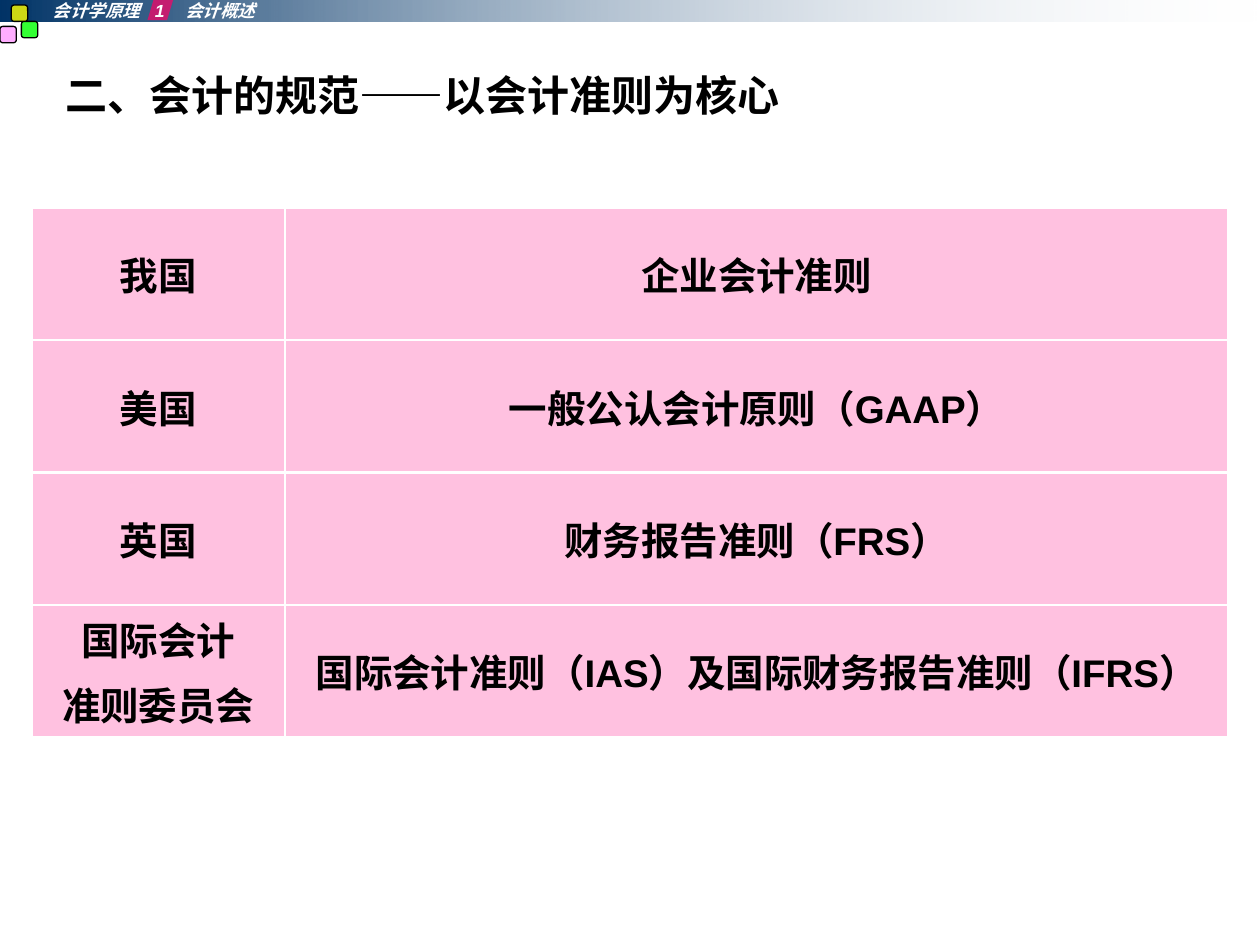
import pptx
import pptx.util
import pptx.dml.color
import pptx.enum.shapes
import pptx.enum.text
import pptx.oxml
import pptx.oxml.ns

Inches = pptx.util.Inches
Pt = pptx.util.Pt
Kind = pptx.enum.shapes.MSO_SHAPE
COLORS = {
    "navy": "003366", "mist": "E7ECF1", "white": "FFFFFF", "black": "000000",
    "pink": "FF99FF", "green": "00FF00", "yellow": "FFFF00", "rose": "FF0066",
    "cell": "FFC1E0",
}
ROWS = [
    ("我国", "企业会计准则"),
    ("美国", "一般公认会计原则（GAAP）"),
    ("英国", "财务报告准则（FRS）"),
    ("国际会计\n准则委员会", "国际会计准则（IAS）及国际财务报告准则（IFRS）"),
]


def rgb(name):
    return pptx.dml.color.RGBColor.from_string(COLORS[name])


def node(tag, inner="", **attrs):
    text = "".join(f' {key}="{val}"' for key, val in attrs.items())
    space = pptx.oxml.ns.nsdecls("a")
    return pptx.oxml.parse_xml(f"<a:{tag} {space}{text}>{inner}</a:{tag}>")


class Maker:
    """Holds the style and the current slide, and draws each kind of element."""

    def __init__(self, slide, face="Arial"):
        self.slide = slide
        self.face = face

    def style(self, para, size, color, slant=None):
        font = para.font
        font.name, font.size, font.bold = self.face, Pt(size), True
        font.italic = slant
        font.color.rgb = rgb(color)

    def fade(self, shape, share):
        tint = list(shape.element.iter(pptx.oxml.ns.qn("a:srgbClr")))[-1]
        tint.append(node("alpha", val=share * 1000))

    def shape(self, kind, box):
        shape = self.slide.shapes.add_shape(kind, *map(Inches, box))
        shape.shadow.inherit = False
        shape.line.fill.background()
        return shape

    def band(self, box, start, end):
        band = self.shape(Kind.RECTANGLE, box)
        band.fill.gradient()
        band.fill.gradient_angle = 0
        for stop, color in zip(band.fill.gradient_stops, (start, end)):
            stop.color.rgb = rgb(color)
        self.fade(band, 0)

    def tile(self, kind, box, color, share, bend, edge=None):
        tile = self.shape(kind, box)
        tile.adjustments[0] = bend
        tile.fill.solid()
        tile.fill.fore_color.rgb = rgb(color)
        self.fade(tile, share)
        if edge:
            tile.line.color.rgb = rgb(edge)
            tile.line.width = Pt(0.75)

    def label(self, box, text, stops):
        frame = self.slide.shapes.add_textbox(*map(Inches, box)).text_frame
        frame.word_wrap = True
        frame.margin_left = frame.margin_right = 0
        frame.margin_top = frame.margin_bottom = 0
        para = frame.paragraphs[0]
        para.text = text
        tabs = node("tabLst")
        for stop in stops:
            tabs.append(node("tab", pos=Inches(stop), algn="l"))
        para._p.get_or_add_pPr().append(tabs)
        self.style(para, 10, "white", True)

    def heading(self, box, text):
        self.slide.shapes.title.element.getparent().remove(self.slide.shapes.title.element)
        body = self.slide.placeholders[1]
        body.left, body.top, body.width, body.height = map(Inches, box)
        body.text_frame.auto_size = pptx.enum.text.MSO_AUTO_SIZE.NONE
        para = body.text_frame.paragraphs[0]
        para.text = text
        para.space_before = Pt(0)
        props = para._p.get_or_add_pPr()
        props.set("marL", str(Inches(0.38)))
        props.set("indent", str(-Inches(0.38)))
        props.append(node("buNone"))
        self.style(para, 24, "black")

    def cell(self, cell, text):
        cell.text = text
        cell.vertical_anchor = pptx.enum.text.MSO_ANCHOR.MIDDLE
        cell.fill.solid()
        cell.fill.fore_color.rgb = rgb("cell")
        ink = f'<a:solidFill><a:srgbClr val="{COLORS["white"]}"/></a:solidFill>'
        for spot, side in enumerate("LRTB"):
            cell._tc.tcPr.insert(spot, node("ln" + side, ink, w=Pt(1.47)))
        for rank, para in enumerate(cell.text_frame.paragraphs):
            para.alignment = pptx.enum.text.PP_ALIGN.CENTER
            para.space_before = Pt(5.5 if rank else 0)
            self.style(para, 22, "black")

    def table(self, box, rows, widths):
        frame = self.slide.shapes.add_table(len(rows), len(widths), *map(Inches, box))
        table = frame.table
        table.first_row = table.horz_banding = False
        for col, width in zip(table.columns, widths):
            col.width = Inches(width)
        for row, texts in zip(table.rows, rows):
            for cell, text in zip(row.cells, texts):
                self.cell(cell, text)


def main():
    deck = pptx.Presentation()
    deck.slide_width, deck.slide_height = Inches(10), Inches(7.5)
    maker = Maker(deck.slides.add_slide(deck.slide_layouts[1]))
    maker.heading((0.42, 0.5, 9.17, 6.58), "二、会计的规范——以会计准则为核心")
    maker.band((0, 0, 10, 0.17), "navy", "mist")
    for left, top, color in ((0, 0.21, "pink"), (0.17, 0.17, "green"), (0.09, 0.04, "yellow")):
        maker.tile(Kind.ROUNDED_RECTANGLE, (left, top, 0.13, 0.13), color, 80, 0.17, "black")
    maker.tile(Kind.PARALLELOGRAM, (1.17, -0.02, 0.21, 0.18), "rose", 70, 0.3)
    maker.label((0.42, 0, 2.12, 0.17), "会计学原理\t1\t会计概述", (0.81, 1.05))
    maker.table((0.25, 1.65, 9.5, 4.2), ROWS, (2.01, 7.49))
    deck.save("out.pptx")


if __name__ == "__main__":
    main()
